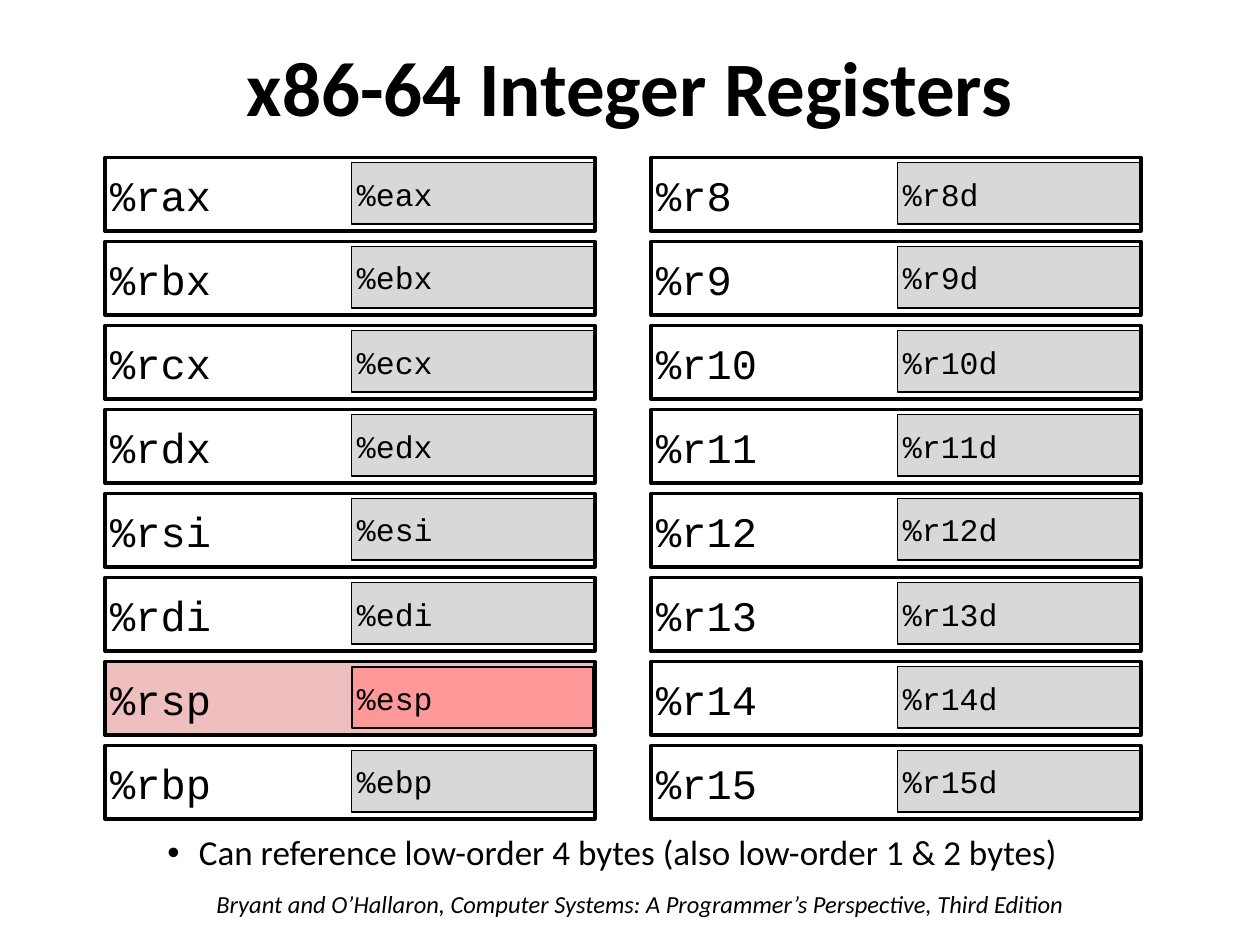
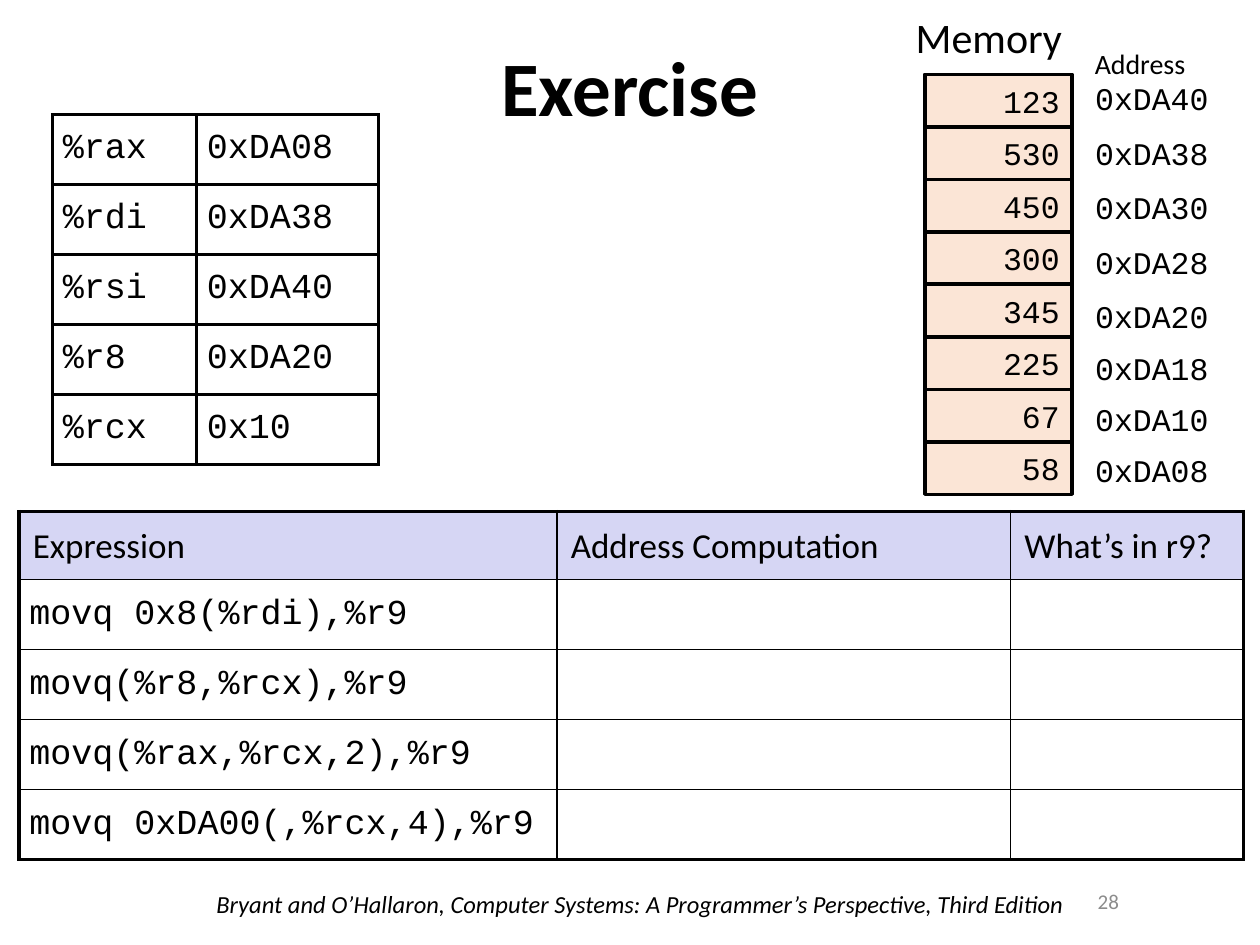
from lxml import etree
from pptx import Presentation
from pptx.dml.color import RGBColor
from pptx.enum import shapes, text
from pptx.oxml import ns
from pptx.util import Pt


class Theme:
    sans, mono = "Calibri", "Courier New"
    black = RGBColor(0, 0, 0)
    white = RGBColor(255, 255, 255)
    page_grey = RGBColor(0x8C, 0x8C, 0x8C)
    low_half = RGBColor(0xD8, 0xD8, 0xD8)
    stack_full = RGBColor(0xEF, 0xBF, 0xBF)
    stack_low = RGBColor(0xFF, 0x99, 0x99)
    memory = RGBColor(0xFB, 0xE5, 0xD6)
    header = RGBColor(0xD6, 0xD6, 0xF4)
    title, large, body, code, label, footer, page = 44, 24, 20, 18, 16, 14, 12


LEFT, CENTER, RIGHT = text.PP_ALIGN.LEFT, text.PP_ALIGN.CENTER, text.PP_ALIGN.RIGHT
TOP, MIDDLE = text.MSO_ANCHOR.TOP, text.MSO_ANCHOR.MIDDLE


def write(frame, words, size, font=Theme.sans, color=Theme.black, align=LEFT, spacing=1.0):
    paragraph = frame.paragraphs[0]
    paragraph.text = words
    paragraph.alignment = align
    paragraph.line_spacing = spacing
    paragraph.font.size = Pt(size)
    paragraph.font.name = font
    paragraph.font.color.rgb = color
    return paragraph


def place(slide, at, words, size, anchor=TOP, fill=None, line=None, inset=None, **style):
    area = [Pt(length) for length in at]
    if line:
        holder = slide.shapes.add_shape(shapes.MSO_SHAPE.RECTANGLE, *area)
        holder.shadow.inherit = False
        holder.line.color.rgb = Theme.black
        holder.line.width = Pt(line)
        if fill is None:
            holder.fill.background()
        else:
            holder.fill.solid()
            holder.fill.fore_color.rgb = fill
    else:
        holder = slide.shapes.add_textbox(*area)
    frame = holder.text_frame
    frame.word_wrap = True
    frame.vertical_anchor = anchor
    if inset is not None:
        frame.margin_left = frame.margin_right = Pt(inset)
        frame.margin_top = frame.margin_bottom = Pt(inset)
    return write(frame, words, size, **style)


deck = Presentation()
deck.slide_width, deck.slide_height = Pt(720), Pt(540)

slides = []
for heading in ("x86-64 Integer Registers", "Exercise"):
    slide = deck.slides.add_slide(deck.slide_layouts[6])
    citation = place(slide, (116.6, 504.7, 511.2, 24.5),
                     "Bryant and O’Hallaron, Computer Systems: A Programmer’s Perspective, Third Edition",
                     Theme.footer)
    citation.font.italic = True
    title = place(slide, (0, 0, 720, 104.4), heading, Theme.title, MIDDLE,
                  align=CENTER, spacing=0.9)
    title.font.bold = True
    slides.append(slide)
registers, exercise = slides

note = place(registers, (52.6, 473.8, 658, 66),
             "Can reference low-order 4 bytes (also low-order 1 & 2 bytes)",
             Theme.body, spacing=0.9)
note.space_before = Pt(5)
note_properties = note._p.get_or_add_pPr()
note_properties.set("marL", str(Pt(54)))
note_properties.set("indent", str(Pt(-18)))
etree.SubElement(note_properties, ns.qn("a:buFont"), typeface="Arial")
etree.SubElement(note_properties, ns.qn("a:buChar"), char="•")

classic = [("%r" + name, "%e" + name) for name in "ax bx cx dx si di sp bp".split()]
numbered = [(f"%r{number}", f"%r{number}d") for number in range(8, 16)]
for left, column in ((60, classic), (372, numbered)):
    for row, (full_name, low_name) in enumerate(column):
        top = 90 + 48 * row
        is_stack = full_name == "%rsp"
        full = ((left, top, 280, 42), full_name, Theme.large, MIDDLE,
                Theme.stack_full if is_stack else None, 2)
        low = ((left + 141, top + 3, 138 if is_stack else 139, 35), low_name, Theme.code, MIDDLE,
               Theme.stack_low if is_stack else Theme.low_half, 1 if is_stack else 0.75)
        for half in (full, low) if is_stack else (low, full):
            place(registers, *half, inset=3, font=Theme.mono)

place(exercise, (617, 500.4, 29.5, 28.8), "28", Theme.page, MIDDLE,
      color=Theme.page_grey, align=RIGHT)
place(exercise, (516.2, 3, 101, 36), "Memory", Theme.large)
place(exercise, (618.5, 23, 96, 26.6), "Address", Theme.label)
for row, value in enumerate((123, 530, 450, 300, 345, 225, 67, 58)):
    place(exercise, (528.5, 42.5 + 30 * row, 84.2, 30), str(value), Theme.code, MIDDLE,
          Theme.memory, 2, font=Theme.mono, align=RIGHT)
    address_top = 41.8 + 31.15 * min(row, 4) + 29.3 * max(row - 4, 0)
    place(exercise, (618.7, address_top, 96, 29), f"0x{0xDA40 - 8 * row:X}",
          Theme.code, font=Theme.mono)

register_values = [("%rax", "0xDA08"), ("%rdi", "0xDA38"), ("%rsi", "0xDA40"),
                   ("%r8", "0xDA20"), ("%rcx", "0x10")]
questions = [("Expression", "Address Computation", "What’s in r9?")]
questions += [(move, "", "") for move in (
    "movq 0x8(%rdi),%r9", "movq(%r8,%rcx),%r9",
    "movq(%rax,%rcx,2),%r9", "movq 0xDA00(,%rcx,4),%r9")]

for left, top, widths, entries, has_header, outer, inner, spacing in (
        (30, 65.5, (82.3, 104), register_values, False, 2, 2, 1.0),
        (10.8, 292.3, (307.4, 259.2, 133.2), questions, True, 2.25, 1, 0.95)):
    heights = [38.8 if has_header and row == 0 else 40 for row in range(len(entries))]
    grid = exercise.shapes.add_table(len(entries), len(widths), Pt(left), Pt(top),
                                     Pt(sum(widths)), Pt(sum(heights))).table
    grid.first_row = grid.horz_banding = False
    for column, width in enumerate(widths):
        grid.columns[column].width = Pt(width)
    for row, entry in enumerate(entries):
        grid.rows[row].height = Pt(heights[row])
        is_header = has_header and row == 0
        for column, words in enumerate(entry):
            cell = grid.cell(row, column)
            on_edge = {"lnL": column == 0, "lnR": column == len(widths) - 1,
                       "lnT": row == 0, "lnB": row == len(entries) - 1}
            for side, is_outer in on_edge.items():
                border = etree.SubElement(cell._tc.get_or_add_tcPr(), ns.qn("a:" + side),
                                          w=str(Pt(outer if is_outer else inner)))
                ink = etree.SubElement(border, ns.qn("a:solidFill"))
                etree.SubElement(ink, ns.qn("a:srgbClr"), val=str(Theme.black))
            cell.fill.solid()
            cell.fill.fore_color.rgb = Theme.header if is_header else Theme.white
            cell.vertical_anchor = MIDDLE
            inset = Pt(8 if is_header else 6)
            cell.margin_left = cell.margin_right = inset
            cell.margin_top = cell.margin_bottom = inset
            write(cell.text_frame, words, Theme.body,
                  Theme.sans if is_header else Theme.mono, spacing=spacing)

deck.save("out.pptx")
